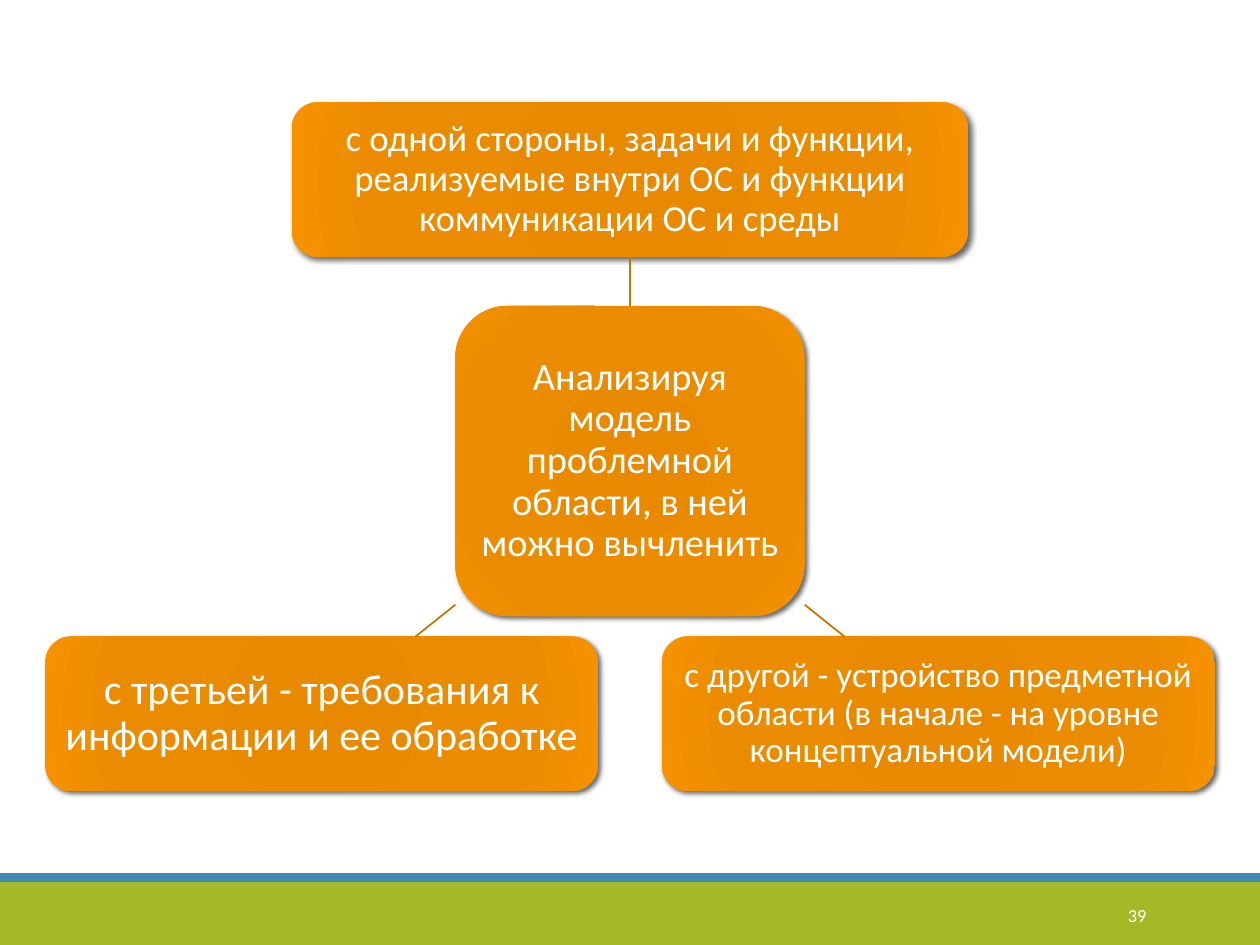
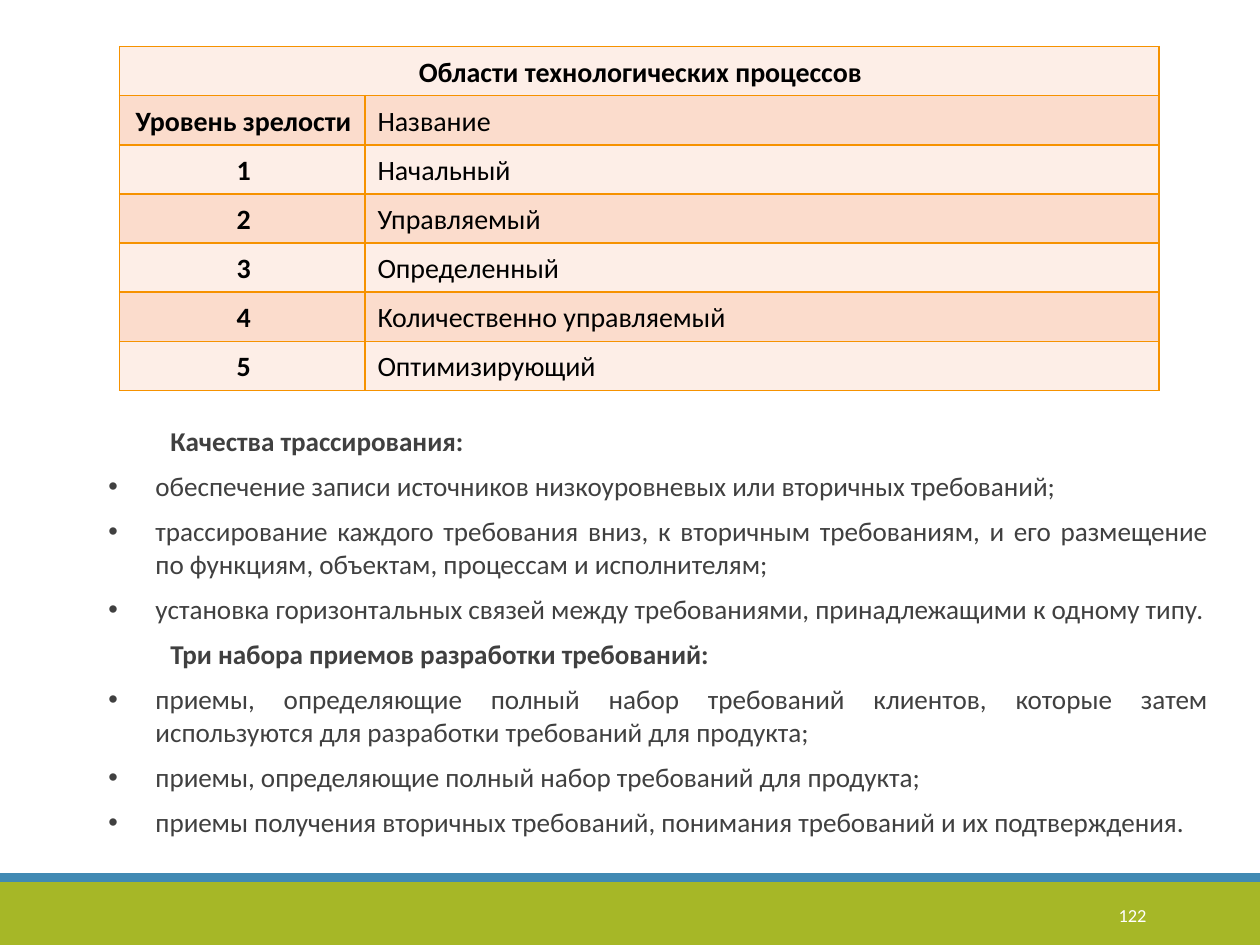
from dataclasses import dataclass

import lxml.etree
import pptx
import pptx.dml.color
import pptx.enum.shapes
import pptx.enum.text
import pptx.oxml
import pptx.oxml.ns
import pptx.util

Cm = pptx.util.Cm
Pt = pptx.util.Pt
Align = pptx.enum.text.PP_ALIGN
Anchor = pptx.enum.text.MSO_ANCHOR
Shape = pptx.enum.shapes.MSO_SHAPE
DRAWING = pptx.oxml.ns.nsdecls("a")


@dataclass(frozen=True)
class Theme:
    font: str = "Calibri"
    white: str = "FFFFFF"
    black: str = "000000"
    text: str = "404040"
    green: str = "A6B727"
    blue: str = "418AB3"
    orange: str = "F69200"
    dark_orange: str = "C57500"
    row_fills: tuple = ("FDEEE7", "FBDCCC")
    box_gradient: tuple = ((0, "E58800"), (34, "E88900"), (70, "EB8B00"), (100, "F69200"))
    number_size: float = 10.5
    list_size: float = 15.5
    table_size: float = 16
    hub_size: float = 22


THEME = Theme()
SLIDE_WIDTH, SLIDE_HEIGHT = 25.4, 19.05

HUB_TEXT = "Анализируя модель проблемной области, в ней можно вычленить"
TASKS_TEXT = ("с одной стороны, задачи и функции, реализуемые внутри ОС "
              "и функции коммуникации ОС и среды")
DOMAIN_TEXT = ("с другой - устройство предметной области "
               "(в начале - на уровне концептуальной модели)")
INFORMATION_TEXT = "с третьей - требования к информации и ее обработке"

TABLE_TITLE = "Области технологических процессов"
MATURITY_ROWS = [
    ("Уровень зрелости", "Название"),
    ("1", "Начальный"),
    ("2", "Управляемый"),
    ("3", "Определенный"),
    ("4", "Количественно управляемый"),
    ("5", "Оптимизирующий"),
]

REQUIREMENT_LISTS = {
    "Качества трассирования:": [
        "обеспечение записи источников низкоуровневых или вторичных требований;",
        "трассирование каждого требования вниз, к вторичным требованиям, "
        "и его размещение по функциям, объектам, процессам и исполнителям;",
        "установка горизонтальных связей между требованиями, принадлежащими к одному типу.",
    ],
    "Три набора приемов разработки требований:": [
        "приемы, определяющие полный набор требований клиентов, "
        "которые затем используются для разработки требований для продукта;",
        "приемы, определяющие полный набор требований для продукта;",
        "приемы получения вторичных требований, понимания требований и их подтверждения.",
    ],
}


def color(value):
    return pptx.dml.color.RGBColor.from_string(value)


def apply_format(target, values):
    for name, value in values.items():
        setattr(target, name, value)


def set_insets(target, horizontal, vertical):
    apply_format(target, {"margin_left": Cm(horizontal), "margin_right": Cm(horizontal),
                          "margin_top": Cm(vertical), "margin_bottom": Cm(vertical)})


def write_text(paragraph, text, size, text_color, bold=False, **paragraph_format):
    apply_format(paragraph, paragraph_format)
    run = paragraph.add_run()
    run.text = text
    apply_format(run.font, {"name": THEME.font, "size": Pt(size), "bold": bold})
    run.font.color.rgb = color(text_color)


def set_indent(paragraph, left, first_line, bullet=None):
    properties = paragraph._p.get_or_add_pPr()
    properties.set("marL", str(Cm(left)))
    properties.set("indent", str(Cm(first_line)))
    mark = f'<a:buChar {DRAWING} char="{bullet}"/>' if bullet else f"<a:buNone {DRAWING}/>"
    properties.append(pptx.oxml.parse_xml(mark))


def add_master_bands(presentation, slide):
    """Draw the footer bands and move them to the slide master, behind its placeholders."""
    master_tree = presentation.slide_master.shapes.element
    bands = [(17.78, 1.27, THEME.green), (17.6, 0.18, THEME.blue)]
    for position, (top, height, fill) in enumerate(bands):
        band = slide.shapes.add_shape(Shape.RECTANGLE, 0, Cm(top), Cm(SLIDE_WIDTH), Cm(height))
        band.shadow.inherit = False
        band.fill.solid()
        band.fill.fore_color.rgb = color(fill)
        band.line.fill.background()
        band.element.xpath(".//p:cNvPr")[0].set("id", str(100 + position))
        master_tree.insert(2 + position, band.element)


def add_slide_number(slide, number):
    box = slide.shapes.add_textbox(Cm(20.62), Cm(17.93), Cm(2.74), Cm(1.02))
    apply_format(box.text_frame, {"word_wrap": True, "vertical_anchor": Anchor.MIDDLE})
    write_text(box.text_frame.paragraphs[0], str(number), THEME.number_size, THEME.white,
               alignment=Align.RIGHT)


def style_glossy(shape):
    """Give the shape a radial gradient and a soft diagonal shadow."""
    shape.line.fill.background()
    stops = "".join(f'<a:gs pos="{place * 1000}"><a:srgbClr val="{value}"/></a:gs>'
                    for place, value in THEME.box_gradient)
    gradient = pptx.oxml.parse_xml(
        f'<a:gradFill {DRAWING} rotWithShape="1"><a:gsLst>{stops}</a:gsLst>'
        '<a:path path="circle"><a:fillToRect l="100000" t="100000" r="100000" b="100000"/>'
        '</a:path></a:gradFill>')
    shadow = pptx.oxml.parse_xml(
        f'<a:effectLst {DRAWING}><a:outerShdw blurRad="{Pt(3)}" dist="{Pt(2)}" dir="2700000" '
        f'rotWithShape="0"><a:srgbClr val="{THEME.black}"><a:alpha val="60000"/></a:srgbClr>'
        '</a:outerShdw></a:effectLst>')
    properties = shape.element.spPr
    properties.insert(2, gradient)
    properties.append(shadow)


def add_box(slide, left, top, width, height, text, size):
    box = slide.shapes.add_shape(Shape.ROUNDED_RECTANGLE,
                                 Cm(left), Cm(top), Cm(width), Cm(height))
    style_glossy(box)
    frame = box.text_frame
    apply_format(frame, {"word_wrap": True, "vertical_anchor": Anchor.MIDDLE})
    set_insets(frame, 0.15, 0.15)
    write_text(frame.paragraphs[0], text, size, THEME.white,
               alignment=Align.CENTER, line_spacing=0.9)
    return box


def add_line(slide, start=(0, 0), end=(0, 0)):
    line = slide.shapes.add_connector(pptx.enum.shapes.MSO_CONNECTOR.STRAIGHT,
                                      *(Cm(value) for value in (*start, *end)))
    line.line.color.rgb = color(THEME.dark_orange)
    line.line.width = Pt(1)
    lxml.etree.SubElement(line.element.spPr, pptx.oxml.ns.qn("a:effectLst"))
    return line


def add_border(cell):
    properties = cell._tc.get_or_add_tcPr()
    for position, side in enumerate(("lnL", "lnR", "lnT", "lnB")):
        properties.insert(position, pptx.oxml.parse_xml(
            f'<a:{side} {DRAWING} w="{Pt(1)}"><a:solidFill><a:srgbClr val="{THEME.orange}"/>'
            f'</a:solidFill></a:{side}>'))


def add_maturity_table(slide):
    rows = [(TABLE_TITLE, ""), *MATURITY_ROWS]
    widths, row_height = (4.95, 16.0), 0.99
    table = slide.shapes.add_table(len(rows), len(widths), Cm(2.41), Cm(0.94),
                                   Cm(sum(widths)), Cm(row_height * len(rows))).table
    apply_format(table, {"first_row": False, "horz_banding": False})
    for column, width in zip(table.columns, widths):
        column.width = Cm(width)
    for row_index, row in enumerate(rows):
        table.rows[row_index].height = Cm(row_height)
        for column_index, text in enumerate(row):
            cell = table.cell(row_index, column_index)
            cell.vertical_anchor = Anchor.MIDDLE
            set_insets(cell, 0.2, 0.13)
            cell.fill.solid()
            cell.fill.fore_color.rgb = color(THEME.row_fills[row_index % 2])
            add_border(cell)
            if text:
                is_level = column_index == 0
                paragraph = cell.text_frame.paragraphs[0]
                set_indent(paragraph, 0, 0.05)
                write_text(paragraph, text, THEME.table_size, THEME.black, bold=is_level,
                           alignment=Align.CENTER if is_level else Align.JUSTIFY,
                           line_spacing=1.07)
    table.cell(0, 0).merge(table.cell(0, 1))


def fill_requirement_lists(body):
    apply_format(body, {"left": Cm(1.93), "top": Cm(8.43),
                        "width": Cm(22.66), "height": Cm(8.64)})
    frame = body.text_frame
    apply_format(frame, {"word_wrap": True, "auto_size": pptx.enum.text.MSO_AUTO_SIZE.NONE})
    lines = [(text, text == heading)
             for heading, items in REQUIREMENT_LISTS.items() for text in (heading, *items)]
    for index, (text, is_heading) in enumerate(lines):
        paragraph = frame.add_paragraph() if index else frame.paragraphs[0]
        if is_heading:
            set_indent(paragraph, 0, 1.25)
        else:
            set_indent(paragraph, 0.95, -0.95, "•")
        write_text(paragraph, text, THEME.list_size, THEME.text, bold=is_heading,
                   alignment=Align.JUSTIFY, space_before=Pt(7.2 if index else 0))


def build_analysis_slide(presentation):
    slide = presentation.slides.add_slide(presentation.slide_layouts[6])
    add_master_bands(presentation, slide)
    add_slide_number(slide, 39)
    box_height, lower_width, lower_top, edge = 3.12, 11.15, 12.83, 0.91
    hub = add_box(slide, 9.18, 6.17, 7.04, 6.25, HUB_TEXT, THEME.hub_size)
    tasks = add_box(slide, 5.88, 2.06, 13.64, box_height, TASKS_TEXT, 21)
    add_box(slide, SLIDE_WIDTH - edge - lower_width, lower_top, lower_width, box_height,
            DOMAIN_TEXT, 20)
    add_box(slide, edge, lower_top, lower_width, box_height, INFORMATION_TEXT, 24)

    stem = add_line(slide)
    stem.begin_connect(hub, 0)
    stem.end_connect(tasks, 2)
    for side in (-1, 1):
        middle = SLIDE_WIDTH / 2
        add_line(slide, (middle + side * 3.52, 12.19), (middle + side * 4.32, lower_top))


def build_requirements_slide(presentation):
    slide = presentation.slides.add_slide(presentation.slide_layouts[1])
    title = slide.shapes.title.element
    title.getparent().remove(title)
    add_slide_number(slide, 122)
    add_maturity_table(slide)
    fill_requirement_lists(slide.placeholders[1])


def main():
    presentation = pptx.Presentation()
    apply_format(presentation, {"slide_width": Cm(SLIDE_WIDTH), "slide_height": Cm(SLIDE_HEIGHT)})
    build_analysis_slide(presentation)
    build_requirements_slide(presentation)
    presentation.save("out.pptx")


if __name__ == "__main__":
    main()
